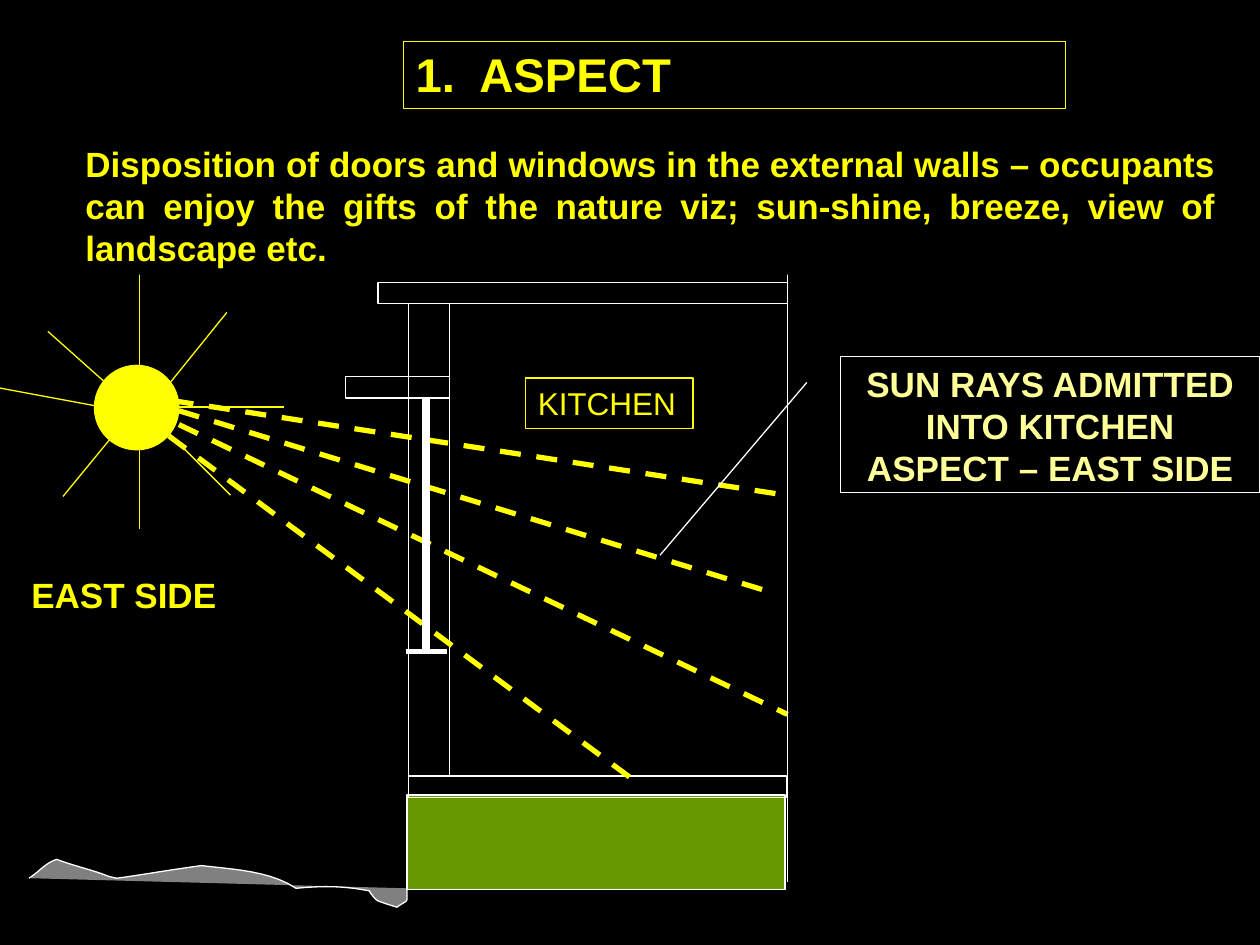
"""Build a slide on aspect: sun rays entering a kitchen from the east."""
from pptx import Presentation
from pptx.dml.color import RGBColor
from pptx.enum.dml import MSO_LINE
from pptx.enum.shapes import MSO_CONNECTOR, MSO_SHAPE
from pptx.enum.text import MSO_ANCHOR, PP_ALIGN
from pptx.oxml.ns import qn
from pptx.util import Inches, Pt
from lxml import etree

STRAIGHT = MSO_CONNECTOR.STRAIGHT
RECTANGLE, OVAL, CALLOUT = MSO_SHAPE.RECTANGLE, MSO_SHAPE.OVAL, MSO_SHAPE.LINE_CALLOUT_1
LEFT, CENTER, JUSTIFY = PP_ALIGN.LEFT, PP_ALIGN.CENTER, PP_ALIGN.JUSTIFY
TOP, MIDDLE, BOTTOM = MSO_ANCHOR.TOP, MSO_ANCHOR.MIDDLE, MSO_ANCHOR.BOTTOM
DASH = MSO_LINE.DASH
COLORS = {
    "black": "000000", "white": "FFFFFF", "yellow": "FFFF00",
    "pale": "FFFF99", "green": "669900", "gray": "808080",
}


def style_shape(shape, fill, line):
    shape.shadow.inherit = False
    if fill:
        shape.fill.solid()
        shape.fill.fore_color.rgb = RGBColor.from_string(COLORS[fill])
    else:
        shape.fill.background()
    if line:
        shape.line.color.rgb = RGBColor.from_string(COLORS[line])
        shape.line.width = Pt(0.75)
    else:
        shape.line.fill.background()


def add_line(start, end, color, width, dash=None):
    connector = slide.shapes.add_connector(STRAIGHT, *map(Inches, start + end))
    connector.line.color.rgb = RGBColor.from_string(COLORS[color])
    connector.line.width = Pt(width)
    if dash:
        connector.line.dash_style = dash
    etree.SubElement(connector._element.spPr, qn("a:effectLst"))


presentation = Presentation()
presentation.slide_width, presentation.slide_height = Inches(10), Inches(7.5)
slide = presentation.slides.add_slide(presentation.slide_layouts[6])
slide.background.fill.solid()
slide.background.fill.fore_color.rgb = RGBColor.from_string(COLORS["black"])

ground_start = (0.23, 6.97)
ground_curves = [
    ((0.31, 6.92), (0.36, 6.85), (0.45, 6.82)),
    ((0.58, 6.87), (0.72, 6.9), (0.85, 6.95)),
    ((0.87, 6.96), (0.93, 6.97), (0.93, 6.97)),
    ((1.15, 6.94), (1.37, 6.9), (1.6, 6.87)),
    ((1.85, 6.9), (2.14, 6.91), (2.35, 7.05)),
    ((2.56, 7.03), (2.72, 7.03), (2.93, 7.07)),
    ((2.95, 7.1), (2.97, 7.13), (3, 7.15)),
    ((3.05, 7.17), (3.15, 7.2), (3.15, 7.2)),
    ((3.25, 7.13), (3.23, 7.18), (3.23, 7.05)),
]
steps = 10
ground_points = []
previous = ground_start
for first, second, end in ground_curves:
    for step in range(1, steps + 1):
        t = step / steps
        weights = ((1 - t) ** 3, 3 * t * (1 - t) ** 2, 3 * t * t * (1 - t), t ** 3)
        controls = (previous, first, second, end)
        ground_points.append(tuple(
            Inches(sum(weight * point[axis] for weight, point in zip(weights, controls)))
            for axis in (0, 1)
        ))
    previous = end
builder = slide.shapes.build_freeform(*map(Inches, ground_start))
builder.add_line_segments(ground_points, close=False)
style_shape(builder.convert_to_shape(), "gray", "white")

plinth = (3.23, 6.31, 3, 0.75)
roof = (3, 2.24, 3.25, 0.17)
east_wall = (3.24, 2.41, 0.33, 3.75)
floor = (3.24, 6.16, 3, 0.17)
sunshade = (2.74, 2.99, 0.83, 0.17)
sun = (0.75, 2.9, 0.67, 0.67)
for kind, box, fill, line in [
    (RECTANGLE, plinth, "green", "white"),
    (RECTANGLE, roof, None, "white"),
    (RECTANGLE, east_wall, None, "white"),
    (RECTANGLE, floor, None, "white"),
    (RECTANGLE, sunshade, None, "white"),
    (OVAL, sun, "yellow", "yellow"),
]:
    shape = slide.shapes.add_shape(kind, *map(Inches, box))
    style_shape(shape, fill, line)

admitted_rays = [
    ((1.42, 3.26), (6.15, 4.71)),
    ((1.34, 3.46), (5, 6.17)),
    ((1.42, 3.37), (6.25, 5.67)),
    ((1.37, 3.18), (6.17, 3.92)),
]
for start, end in admitted_rays:
    add_line(start, end, "yellow", 3, DASH)

add_line((3.22, 5.17), (3.55, 5.17), "white", 3)
add_line((3.38, 3.16), (3.38, 5.16), "white", 4.5)
add_line((6.25, 1.75), (6.25, 7), "white", 0.75)

sun_beams = [
    ((1.11, 2.96), (1.11, 2.13)),
    ((1.11, 3.57), (1.11, 4.2)),
    ((0.86, 3.24), (0, 3.08)),
    ((1.34, 3.05), (1.8, 2.48)),
    ((0.96, 3.38), (0.5, 3.94)),
    ((0.84, 3.04), (0.38, 2.63)),
    ((1.33, 3.43), (1.83, 3.93)),
    ((1.42, 3.23), (2.25, 3.23)),
]
for start, end in sun_beams:
    add_line(start, end, "yellow", 0.75)

labels = [
    (RECTANGLE, (3.2, 0.33, 5.26, 0.53), None, "yellow", BOTTOM, LEFT,
     "1.  ASPECT", 27, True, "yellow"),
    (CALLOUT, (6.67, 2.83, 3.33, 1.08), None, "white", TOP, CENTER,
     "SUN RAYS ADMITTED INTO KITCHEN\nASPECT – EAST SIDE", 20, True, "pale"),
    (RECTANGLE, (0.15, 4.5, 2.17, 0.44), None, None, TOP, LEFT,
     "EAST SIDE", 20, True, "yellow"),
    (RECTANGLE, (4.17, 3, 1.33, 0.4), None, "yellow", MIDDLE, LEFT,
     "KITCHEN", 18, False, "yellow"),
    (RECTANGLE, (0.58, 1.08, 9.17, 1.1), "black", None, TOP, JUSTIFY,
     "Disposition of doors and windows in the external walls – occupants can enjoy "
     "the gifts of the nature viz; sun-shine, breeze, view of landscape etc.",
     20, True, "yellow"),
]
for kind, box, fill, line, anchor, alignment, text, size, bold, color in labels:
    shape = slide.shapes.add_shape(kind, *map(Inches, box))
    style_shape(shape, fill, line)
    if kind == CALLOUT:
        for index, value in enumerate((0.19, -0.08, 1.46, -0.43)):
            shape.adjustments[index] = value
    text_frame = shape.text_frame
    text_frame.word_wrap = True
    text_frame.vertical_anchor = anchor
    text_frame.text = text
    for paragraph in text_frame.paragraphs:
        paragraph.alignment = alignment
        for run in paragraph.runs:
            run.font.name = "Arial"
            run.font.size = Pt(size)
            run.font.bold = bold
            run.font.color.rgb = RGBColor.from_string(COLORS[color])

presentation.save("out.pptx")
